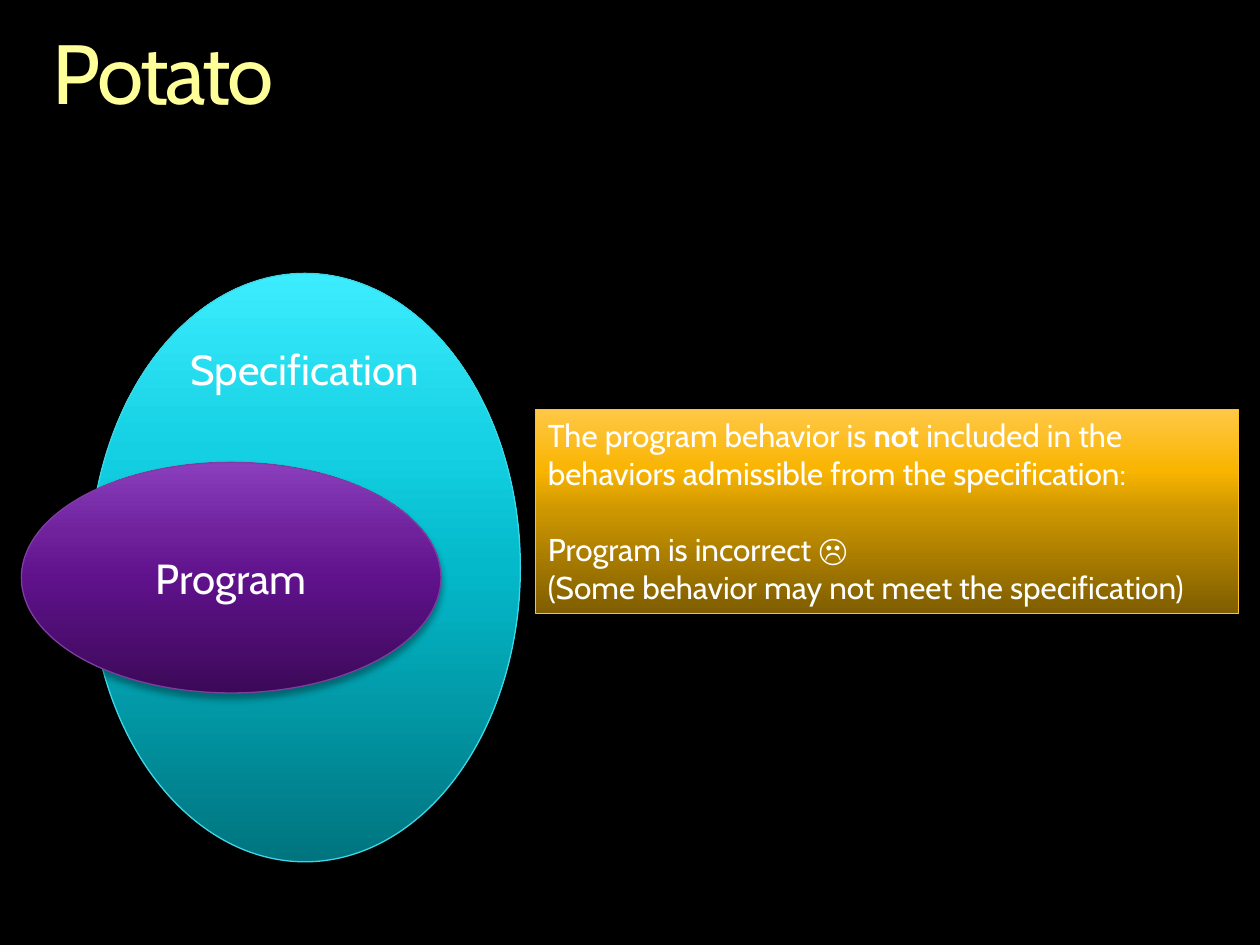
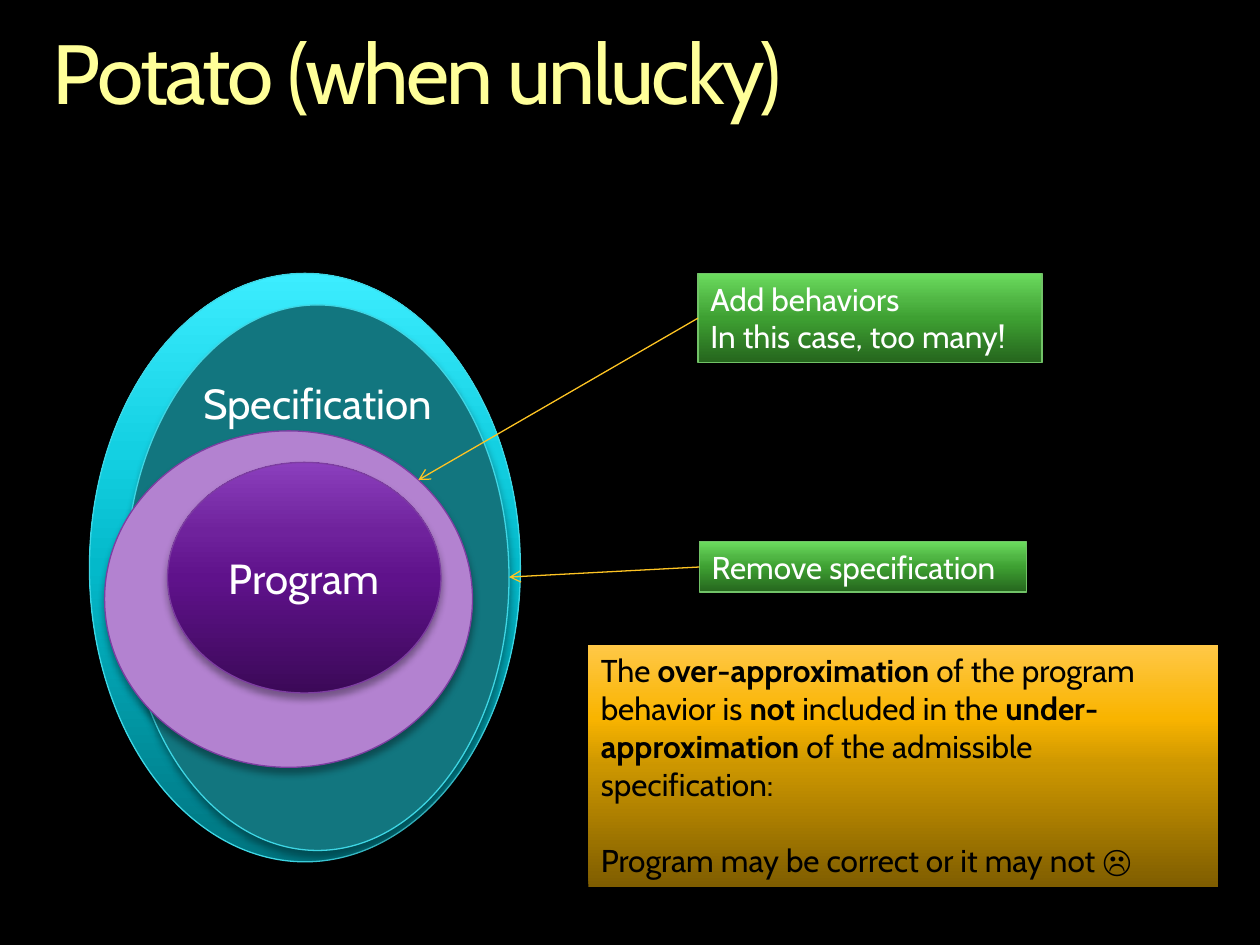
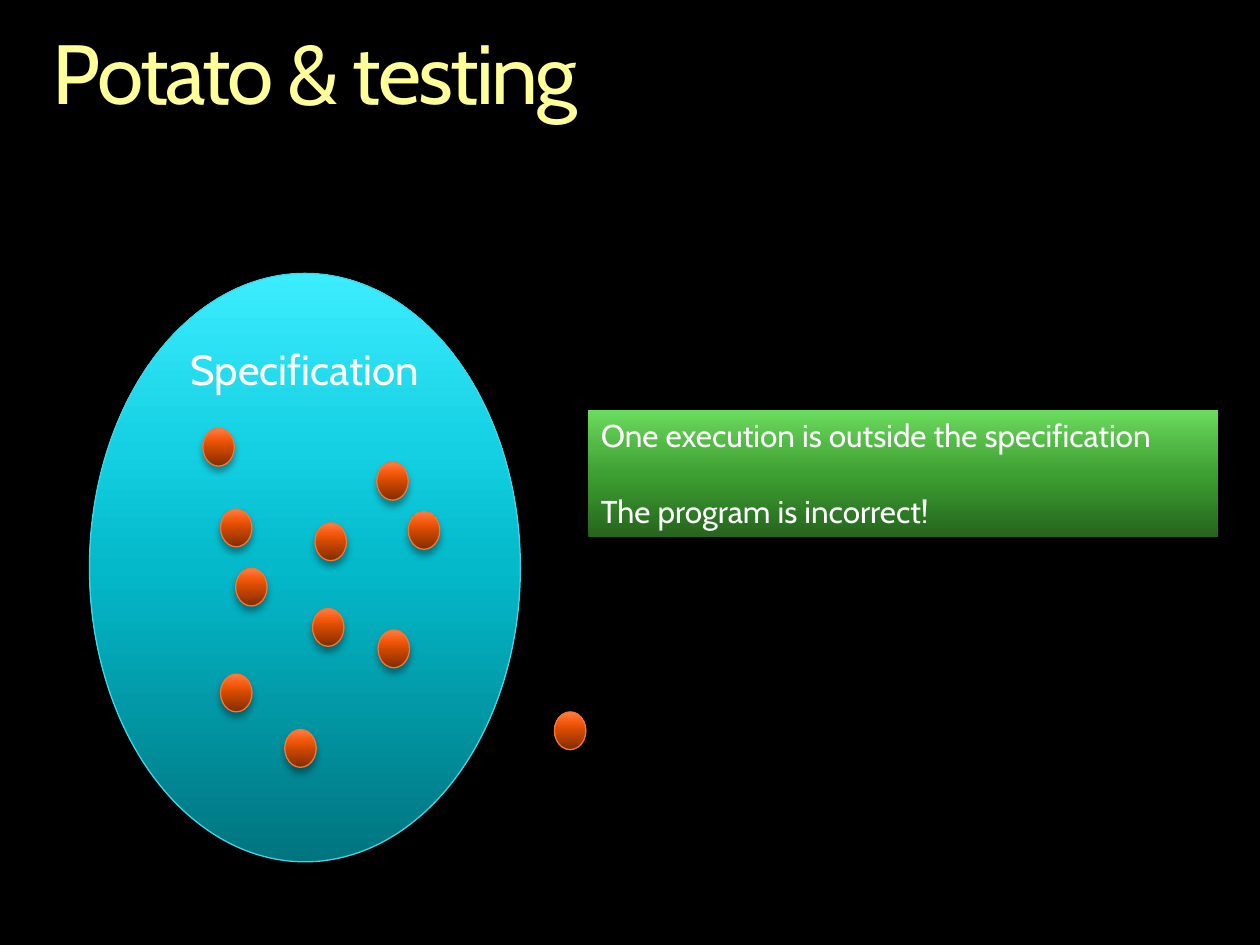
from dataclasses import dataclass

from lxml import etree
from pptx import Presentation
from pptx.dml.color import RGBColor
from pptx.enum.shapes import MSO_CONNECTOR, MSO_SHAPE
from pptx.enum.text import MSO_ANCHOR, PP_ALIGN
from pptx.oxml.ns import qn
from pptx.util import Inches, Pt

OVAL, RECTANGLE = MSO_SHAPE.OVAL, MSO_SHAPE.RECTANGLE
STRAIGHT = MSO_CONNECTOR.STRAIGHT
TOP, MIDDLE = MSO_ANCHOR.TOP, MSO_ANCHOR.MIDDLE
LEFT, CENTER = PP_ALIGN.LEFT, PP_ALIGN.CENTER
LEFT_SIDE = 1


@dataclass(frozen=True)
class Theme:
    font: str = "Cabin"
    title_size: int = 48
    label_size: int = 24
    note_size: int = 18
    blank_line: int = 22
    line_width: float = 0.75
    background: str = "000000"
    title: str = "FFFF99"
    light: str = "FFFFFF"
    dark: str = "000000"
    # Gradients run from bottom to top, through the positions in stops
    stops: tuple = (0, 50, 70, 100)
    cyan: tuple = ("00747F", "03B9CA", "14D0E2", "3CEDFF")
    purple: tuple = ("3C0958", "5F128B", "6F229C", "8B3FBD")
    gold: tuple = ("7F5D00", "CC9600", "F9B400", "FFC847")
    green: tuple = ("25651D", "3EA032", "50B644", "6BDC5E")
    orange: tuple = ("822D00", "D14900", "F35709", "FF7D45")
    teal: str = "12767F"
    lilac: str = "B382D0"
    cyan_line: str = "3ED6E4"
    purple_line: str = "7D3DA1"
    gold_line: str = "FEC423"
    green_line: str = "71C267"
    orange_line: str = "F37735"


theme = Theme()


def add_figure(slide, kind, box, fill, line=None):
    """Add a shape with a plain or gradient fill and a soft shadow below it."""
    shape = slide.shapes.add_shape(kind, *map(Inches, box))
    if isinstance(fill, str):
        shape.fill.solid()
        shape.fill.fore_color.rgb = RGBColor.from_string(fill)
    else:
        shape.fill.gradient()
        shape.fill.gradient_angle = 90
        stop_list = shape._element.spPr.find(qn("a:gradFill")).find(qn("a:gsLst"))
        stop_list.clear()
        for position, color in zip(theme.stops, fill):
            stop = etree.SubElement(stop_list, qn("a:gs"), pos=str(position * 1000))
            etree.SubElement(stop, qn("a:srgbClr"), val=color)

    if line:
        shape.line.color.rgb = RGBColor.from_string(line)
        shape.line.width = Pt(theme.line_width)
    else:
        shape.line.fill.background()

    # Figures without an outline carry a slightly stronger shadow
    blur, opacity = (4, 35) if line else (5, 45)
    shape.shadow.inherit = False
    effects = shape._element.spPr.find(qn("a:effectLst"))
    shadow = etree.SubElement(effects, qn("a:outerShdw"), blurRad=str(Pt(blur)),
                              dist=str(Pt(3)), dir="5400000", rotWithShape="0")
    shadow_color = etree.SubElement(shadow, qn("a:srgbClr"), val="000000")
    etree.SubElement(shadow_color, qn("a:alpha"), val=str(opacity * 1000))
    return shape


def write(shape, lines, size, color=theme.light, align=LEFT, anchor=TOP):
    """Write (text, space before) lines; words between asterisks are bold."""
    frame = shape.text_frame
    frame.word_wrap = True
    frame.vertical_anchor = anchor
    for index, (text, space_before) in enumerate(lines):
        paragraph = frame.add_paragraph() if index else frame.paragraphs[0]
        paragraph.alignment = align
        if space_before:
            paragraph.space_before = Pt(space_before)
        paragraph.font.name = theme.font
        paragraph.font.size = Pt(size)
        paragraph.font.color.rgb = RGBColor.from_string(color)
        for part, words in enumerate(text.split("*")):
            run = paragraph.add_run()
            run.text = words
            if part % 2:
                run.font.bold = True
    return frame


presentation = Presentation()
presentation.slide_width, presentation.slide_height = Inches(10), Inches(7.5)

SPECIFICATION_BOX = (0.71, 2.17, 3.42, 4.67)
LABEL_STYLE = dict(size=theme.label_size, align=CENTER, anchor=MIDDLE)

# Background, title and specification ellipse of every slide
slides, specifications = [], []
for title in ("Potato", "Potato (when unlucky)", "Potato & testing"):
    slide = presentation.slides.add_slide(presentation.slide_layouts[6])
    slide.background.fill.solid()
    slide.background.fill.fore_color.rgb = RGBColor.from_string(theme.background)
    title_box = slide.shapes.add_textbox(Inches(0.42), Inches(0.25), Inches(9.17), Inches(0.73))
    frame = write(title_box, [(title, 0)], theme.title_size, theme.title)
    frame.margin_left = frame.margin_right = frame.margin_top = frame.margin_bottom = 0
    frame.paragraphs[0].line_spacing = 0.9
    frame.paragraphs[0].runs[0]._r.get_or_add_rPr().set("spc", "-150")
    slides.append(slide)
    specifications.append(
        add_figure(slide, OVAL, SPECIFICATION_BOX, theme.cyan, theme.cyan_line))
potato, unlucky, testing = slides

# Reduced specification and enlarged program of the unlucky case
reduced = add_figure(unlucky, OVAL, (1, 2.42, 3.04, 4.33), theme.teal, theme.cyan_line)
add_figure(unlucky, OVAL, (0.83, 3.42, 2.92, 2.67), theme.lilac, theme.purple_line)

# Specification labels, raised by a deep bottom margin
for ellipse, bottom_margin in ((specifications[0], 3.15), (reduced, 2.77),
                               (specifications[2], 3.15)):
    frame = write(ellipse, [("Specification", 0)], **LABEL_STYLE)
    frame.margin_top, frame.margin_bottom = 0, Inches(bottom_margin)

# Program ellipses
for slide, left, width in ((potato, 0.17, 3.33), (unlucky, 1.33, 2.17)):
    program = add_figure(slide, OVAL, (left, 3.67, width, 1.83), theme.purple, theme.purple_line)
    write(program, [("Program", 0)], **LABEL_STYLE)

# Conclusion boxes
conclusions = (
    (potato, (4.25, 3.25, 5.58, 1.62), theme.gold, theme.gold_line, theme.light, [
        ("The program behavior is *not* included in the behaviors admissible "
         "from the specification:", 0),
        ("Program is incorrect ☹", theme.blank_line),
        ("(Some behavior may not meet the specification)", 0)]),
    (unlucky, (4.67, 5.12, 5, 1.92), theme.gold, None, theme.dark, [
        ("The *over-approximation *of the program behavior is *not* included in the "
         "*under-approximation *of the admissible specification:", 0),
        ("Program may be correct or it may not ☹", theme.blank_line)]),
    (testing, (4.67, 3.25, 5, 1.01), theme.green, None, theme.light, [
        ("One execution is outside the specification", 0),
        ("The program is incorrect!", theme.blank_line)]),
)
for slide, box, fill, line, color, lines in conclusions:
    write(add_figure(slide, RECTANGLE, box, fill, line), lines, theme.note_size, color)

# Approximation notes with arrows to the ellipses they explain
notes = (
    ((5.54, 2.17, 2.73, 0.71), ("Add behaviors", "In this case, too many!"), (3.32, 3.81)),
    ((5.55, 4.3, 2.6, 0.4), ("Remove specification",), (4.04, 4.58)),
)
for box, lines, target in notes:
    note = add_figure(unlucky, RECTANGLE, box, theme.green, theme.green_line)
    write(note, [(text, 0) for text in lines], theme.note_size)
    end_x, end_y = map(Inches, target)
    arrow = unlucky.shapes.add_connector(STRAIGHT, note.left, note.top, end_x, end_y)
    arrow.begin_connect(note, LEFT_SIDE)
    arrow.line.color.rgb = RGBColor.from_string(theme.gold_line)
    arrow.line.width = Pt(theme.line_width)
    etree.SubElement(arrow.line._get_or_add_ln(), qn("a:tailEnd"), type="arrow")
    etree.SubElement(arrow._element.spPr, qn("a:effectLst"))

# Test executions, the last one outside the specification
executions = (
    (2.5, 4.15), (3, 5), (1.87, 4.51), (2.48, 4.83), (2.99, 3.67), (1.75, 5.35),
    (1.61, 3.4), (3.24, 4.06), (2.26, 5.79), (1.75, 4.04), (4.4, 5.65),
)
for left, top in executions:
    add_figure(testing, OVAL, (left, top, 0.25, 0.3), theme.orange, theme.orange_line)

presentation.save("out.pptx")
